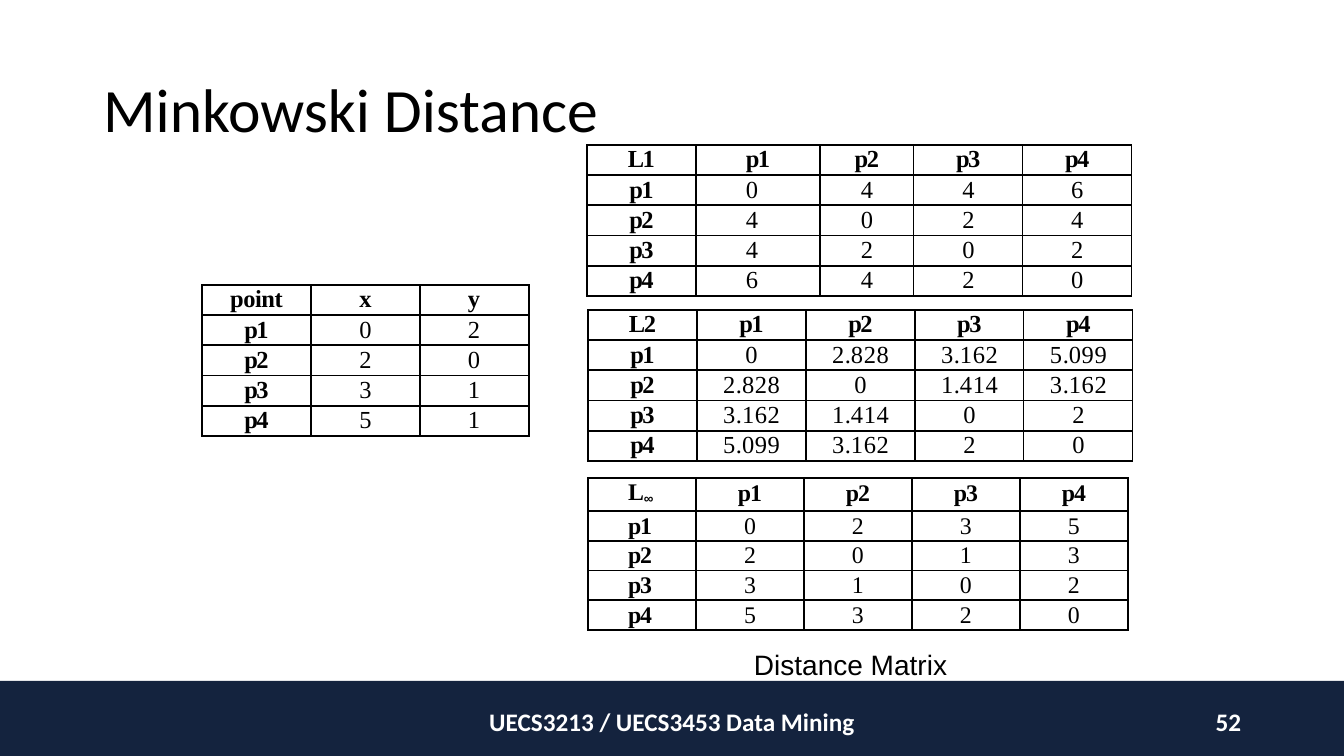
import pptx
import pptx.util
import pptx.dml.color
import pptx.enum.shapes
import pptx.enum.text
import pptx.oxml.ns
from lxml import etree

EMU_PER_PX = 914400 / 100.8
ALIGN = pptx.enum.text.PP_ALIGN
MIDDLE = pptx.enum.text.MSO_ANCHOR.MIDDLE
SERIF = "Times New Roman"


def px(n):
    return pptx.util.Emu(round(n * EMU_PER_PX))


def rgb(color):
    return pptx.dml.color.RGBColor.from_string(color)


class SlideBuilder:
    ink, band, light = "000000", "14233E", "FFFFFF"

    def __init__(self, prs):
        self.s = prs.slides.add_slide(prs.slide_layouts[5])

    def run(self, p, text, size, font, color=ink, bold=False, spacing=0, baseline=0):
        r = p.add_run()
        r.text = text
        r.font.size = pptx.util.Pt(size)
        r.font.name = font
        r.font.bold = bold
        r.font.color.rgb = rgb(color)
        rPr = r.font._element
        if spacing:
            rPr.set("spc", str(round(spacing * 100)))
        if baseline:
            rPr.set("baseline", str(baseline * 1000))

    def title(self, text, x, y, w, h):
        sp = self.s.shapes.title
        sp.left, sp.top, sp.width, sp.height = map(px, (x, y, w, h))
        tf = sp.text_frame
        tf.vertical_anchor = MIDDLE
        p = tf.paragraphs[0]
        p.alignment = ALIGN.LEFT
        p.line_spacing = 0.9
        self.run(p, text, 44, "Calibri")

    def bar(self, x, y, w, h):
        kind = pptx.enum.shapes.MSO_SHAPE.RECTANGLE
        sp = self.s.shapes.add_shape(kind, px(x), px(y), px(w), px(h))
        sp.shadow.inherit = False
        sp.fill.solid()
        sp.fill.fore_color.rgb = rgb(self.band)
        sp.line.fill.background()

    def text_box(self, x, y, w, h):
        return self.s.shapes.add_textbox(px(x), px(y), px(w), px(h)).text_frame

    def footer(self, text, align, x, y, w, h):
        tf = self.text_box(x, y, w, h)
        tf.word_wrap = True
        tf.vertical_anchor = MIDDLE
        p = tf.paragraphs[0]
        p.alignment = align
        self.run(p, text, 18, "Calibri", self.light, bold=True)

    def caption(self, text, x, y, w, h):
        tf = self.text_box(x, y, w, h)
        tf.word_wrap = False
        tf.margin_left, tf.margin_top = px(1), px(2)
        tf.margin_right = tf.margin_bottom = 0
        self.run(tf.paragraphs[0], text, 20, "Arial")

    def borders(self, cell):
        tcPr = cell._tc.get_or_add_tcPr()
        sides = (("lnL", 1), ("lnR", 1), ("lnT", 1.5), ("lnB", 1.5))
        for i, (side, width) in enumerate(sides):
            ln = etree.Element(pptx.oxml.ns.qn("a:" + side), w=str(pptx.util.Pt(width)))
            fill = etree.SubElement(ln, pptx.oxml.ns.qn("a:solidFill"))
            etree.SubElement(fill, pptx.oxml.ns.qn("a:srgbClr"), val=self.ink)
            tcPr.insert(i, ln)

    def cell_text(self, p, text, size, bold, spacing):
        if text == "L∞":
            self.run(p, "L", size, SERIF, bold=True, spacing=-0.6)
            self.run(p, "∞", 16.5, "Arial", bold=True, spacing=-0.9, baseline=-15)
        elif "." in text:
            whole, decimals = text.split(".")
            parts = ((whole, 0.4), (".", -0.3), (decimals[:-1], 0.4), (decimals[-1], 0))
            for part, gap in parts:
                self.run(p, part, size, SERIF, spacing=gap)
        else:
            self.run(p, text, size, SERIF, bold=bold, spacing=spacing)

    def table(self, rows, x, y, widths, height=151, head=None, size=17.5,
              tight=-1.1, indents=None):
        """Bordered grid; indents maps a column to its left indent in px."""
        frame = self.s.shapes.add_table(len(rows), len(widths), px(x), px(y),
                                        px(sum(widths)), px(height))
        tbl = frame.table
        tbl.first_row = tbl.horz_banding = False
        for col, width in zip(tbl.columns, widths):
            col.width = px(width)
        if head:
            for i, row in enumerate(tbl.rows):
                row.height = px((height - head) / (len(rows) - 1) if i else head)
        for i, row in enumerate(rows):
            for j, text in enumerate(row):
                cell = tbl.cell(i, j)
                cell.margin_left = cell.margin_right = 0
                cell.margin_top = cell.margin_bottom = 0
                cell.fill.background()
                self.borders(cell)
                p = cell.text_frame.paragraphs[0]
                p.line_spacing = pptx.util.Pt(20.2)
                if j in (indents or {}):
                    p._p.get_or_add_pPr().set("marL", str(px(indents[j])))
                else:
                    p.alignment = ALIGN.CENTER
                spacing = {"point": -0.3}.get(text, tight if len(text) > 1 else 0)
                self.cell_text(p, text, size, i == 0 or j == 0, spacing)


def matrix(name, *values):
    """Distance matrix with the points as row and column labels."""
    points = ["p1", "p2", "p3", "p4"]
    return [[name] + points] + [[pt] + v.split() for pt, v in zip(points, values)]


def main():
    prs = pptx.Presentation()
    prs.slide_width, prs.slide_height = px(1344), px(756)
    b = SlideBuilder(prs)

    # Footer band and title
    b.bar(0, 681, 1344, 75)
    b.title("Minkowski Distance", 93, 40, 1159, 146)

    # Point coordinates
    coordinates = ["point x y", "p1 0 2", "p2 2 0", "p3 3 1", "p4 5 1"]
    b.table([line.split() for line in coordinates], 202, 285, [109] * 3,
            indents={2: 48})

    # Distance matrices
    b.table(matrix("L1", "0 4 4 6", "4 0 2 4", "4 2 0 2", "6 4 2 0"),
            587, 145, [109, 124, 94, 109, 109], indents={1: 50})
    b.table(matrix("L2", "0 2.828 3.162 5.099", "2.828 0 1.414 3.162",
                   "3.162 1.414 0 2", "5.099 3.162 2 0"),
            588, 310, [109] * 5)
    b.table(matrix("L∞", "0 2 3 5", "2 0 1 3", "3 1 0 2", "5 3 2 0"),
            588, 478, [108] * 5, height=152, head=33, size=17, tight=-0.8,
            indents={0: 40})
    b.caption("Distance Matrix", 753, 646, 196, 35)

    # Footer text
    b.footer("52", ALIGN.RIGHT, 949, 701, 302, 40)
    b.footer("UECS3213 / UECS3453 Data Mining", ALIGN.CENTER, 445, 701, 454, 40)

    prs.save("out.pptx")


if __name__ == "__main__":
    main()
